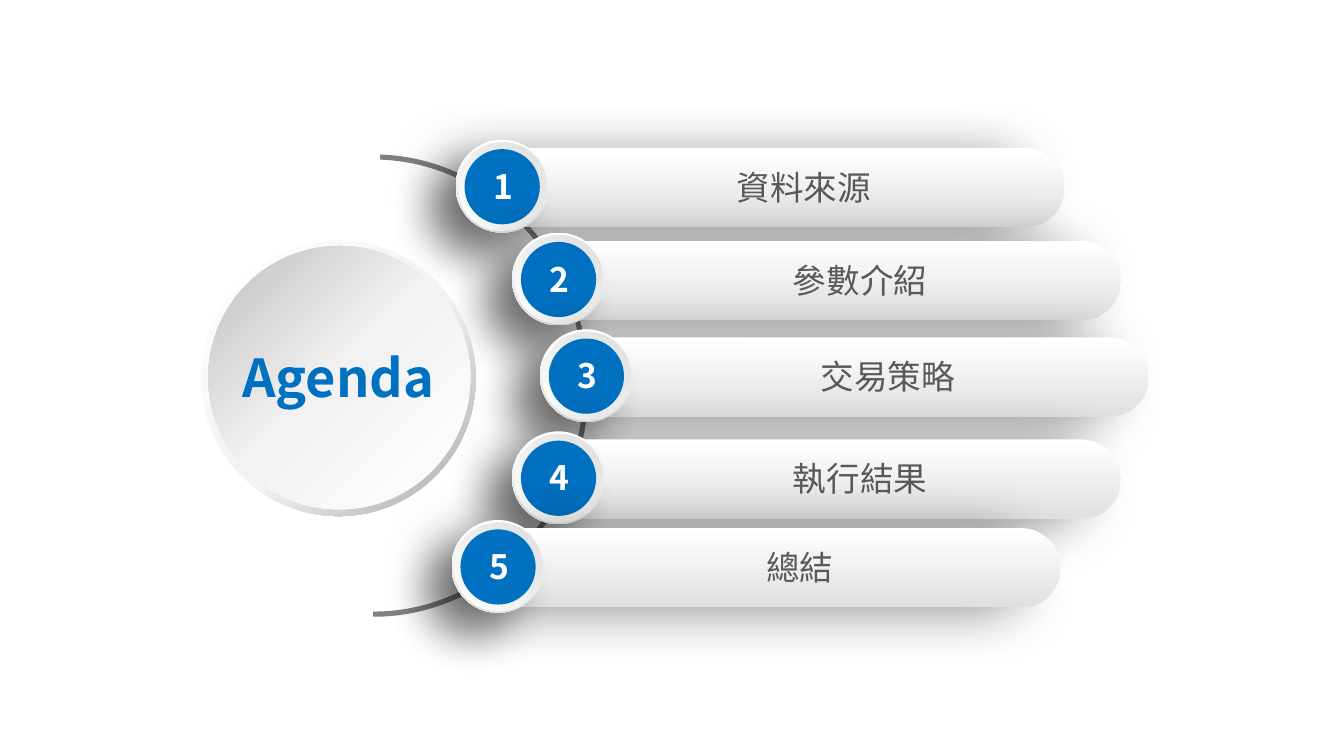
from dataclasses import dataclass
from typing import Any

from lxml import etree
from pptx import Presentation
from pptx import util as u
from pptx.dml.color import RGBColor
from pptx.enum import shapes, text
from pptx.oxml import ns

BLUE, GREY, WHITE = "0070C0", "595959", "FFFFFF"
SILVER = ((0, WHITE), (100, "E0E0E0"))
PEARL = ((0, WHITE), (100, "DDDEDD"))
RIM = ((0, WHITE), (55, "F2F2F2"), (100, "A6A6A6"))
DISC = ((0, WHITE), (51, "F2F2F2"), (100, "BFBFBF"))
KIND = shapes.MSO_SHAPE


@dataclass(frozen=True)
class Frame:
    left: float
    top: float
    width: float
    height: float

    def shifted(self, left: float, top: float) -> "Frame":
        return Frame(self.left + left, self.top + top, self.width, self.height)

    def lengths(self) -> list[u.Length]:
        return [u.Pt(v) for v in (self.left, self.top, self.width, self.height)]


@dataclass(frozen=True)
class Shadow:
    blur: float
    distance: float
    angle: int
    opacity: int


@dataclass(frozen=True)
class Style:
    kind: Any
    stops: tuple[tuple[int, str], ...] = ()
    angle: int = 0
    color: str = ""
    flipped: bool = False
    adjustments: tuple[float, ...] = ()
    shadow: Shadow | None = None


@dataclass(frozen=True)
class Item:
    label: str
    left: float
    top: float


BAR = Style(KIND.ROUNDED_RECTANGLE, SILVER, 90, flipped=True,
            adjustments=(0.5,), shadow=Shadow(30, 20, 171, 40))
BADGE = (
    (Frame(10.8, 4.3, 315.4, 42.5), BAR),
    (Frame(0, 0, 49.7, 49.7),
     Style(KIND.OVAL, SILVER, 90, shadow=Shadow(22, 20, 135, 40))),
    (Frame(1.4, 1.4, 47.5, 47.5), Style(KIND.OVAL, PEARL, 315)),
    (Frame(4.8, 5, 40.3, 40.3), Style(KIND.OVAL, color=BLUE)),
)
NUMBER = Frame(9.2, 10.3, 32.4, 28.8)
LABEL = Frame(88.6, 10.9, 195.8, 28.8)
NUMBER_FONT = {"name": "Noto Sans CJK SC", "size": u.Pt(18), "bold": True}
LABEL_FONT = {"name": "Arial", "size": u.Pt(18), "bold": False}
TITLE_FONT = {"name": "Noto Sans CJK SC", "size": u.Pt(28), "bold": True}
FRAME_FORMAT = {
    "word_wrap": True,
    "auto_size": text.MSO_AUTO_SIZE.NONE,
    "vertical_anchor": text.MSO_ANCHOR.MIDDLE,
}

ITEMS = (
    Item("資料來源", 244.1, 74.9),
    Item("參數介紹", 274.3, 124.6),
    Item("交易策略", 289.2, 176.4),
    Item("執行結果", 274.3, 231.1),
    Item("總結", 241.9, 278.6),
)


def paint(target: Any, color: str) -> None:
    target.rgb = RGBColor.from_string(color)


def child(parent: Any, tag: str, **values: Any) -> Any:
    return etree.SubElement(parent, ns.qn(tag), {k: str(v) for k, v in values.items()})


def add_gradient(properties: Any, style: Style) -> None:
    gradient = etree.Element(ns.qn("a:gradFill"), rotWithShape="1")
    stops = child(gradient, "a:gsLst")
    for position, color in style.stops:
        child(child(stops, "a:gs", pos=position * 1000), "a:srgbClr", val=color)
    child(gradient, "a:lin", ang=style.angle * 60000, scaled=0)
    properties.find(ns.qn("a:prstGeom")).addnext(gradient)


def add_shadow(properties: Any, shadow: Shadow) -> None:
    outer = child(properties.find(ns.qn("a:effectLst")), "a:outerShdw",
                  blurRad=u.Pt(shadow.blur), dist=u.Pt(shadow.distance),
                  dir=shadow.angle * 60000, algn="ctr", rotWithShape=0)
    color = child(outer, "a:srgbClr", val="000000")
    child(color, "a:alpha", val=shadow.opacity * 1000)


def draw_shape(parent: Any, frame: Frame, style: Style) -> Any:
    shape = parent.shapes.add_shape(style.kind, *frame.lengths())
    shape.shadow.inherit = False
    shape.line.fill.background()
    for index, value in enumerate(style.adjustments):
        shape.adjustments[index] = value
    properties = shape._element.spPr
    if style.flipped:
        properties.find(ns.qn("a:xfrm")).set("flipH", "1")
    if style.stops:
        add_gradient(properties, style)
    else:
        shape.fill.solid()
        paint(shape.fill.fore_color, style.color)
    if style.shadow:
        add_shadow(properties, style.shadow)
    return shape


def write(box: Any, words: str, font: dict[str, Any], color: str) -> None:
    for name, value in FRAME_FORMAT.items():
        setattr(box.text_frame, name, value)
    para = box.text_frame.paragraphs[0]
    para.alignment = text.PP_ALIGN.CENTER
    span = para.add_run()
    span.text = words
    for name, value in font.items():
        setattr(span.font, name, value)
    paint(span.font.color, color)


def draw_item(page: Any, number: int, item: Item) -> None:
    group = page.shapes.add_group_shape()
    for frame, style in BADGE:
        draw_shape(group, frame.shifted(item.left, item.top), style)
    for frame, words, font, color in (
        (NUMBER, str(number), NUMBER_FONT, WHITE),
        (LABEL, item.label, LABEL_FONT, GREY),
    ):
        place = frame.shifted(item.left, item.top)
        write(group.shapes.add_textbox(*place.lengths()), words, font, color)


def draw_title(page: Any) -> None:
    draw_shape(page, Frame(108, 128.9, 146.9, 147.6),
               Style(KIND.DONUT, RIM, 135, flipped=True, adjustments=(0.049,)))
    draw_shape(page, Frame(111.6, 131.8, 140.4, 141.1),
               Style(KIND.OVAL, DISC, 315, flipped=True))
    title = page.shapes.title
    place = Frame(114.5, 181.4, 133.2, 41).lengths()
    for name, value in zip(("left", "top", "width", "height"), place):
        setattr(title, name, value)
    write(title, "Agenda", TITLE_FONT, BLUE)
    page.shapes._spTree.append(title._element)


def main() -> None:
    deck = Presentation()
    deck.slide_width, deck.slide_height = u.Pt(720), u.Pt(405)
    page = deck.slides.add_slide(deck.slide_layouts[5])
    arc = draw_shape(page, Frame(76.3, 91.4, 247.7, 230.4),
                     Style(KIND.BLOCK_ARC, color="808080",
                           adjustments=(108.97, 0.07, 0.012)))
    arc.rotation = 90
    for number, item in enumerate(ITEMS, 1):
        draw_item(page, number, item)
    draw_title(page)
    deck.save("out.pptx")


if __name__ == "__main__":
    main()
